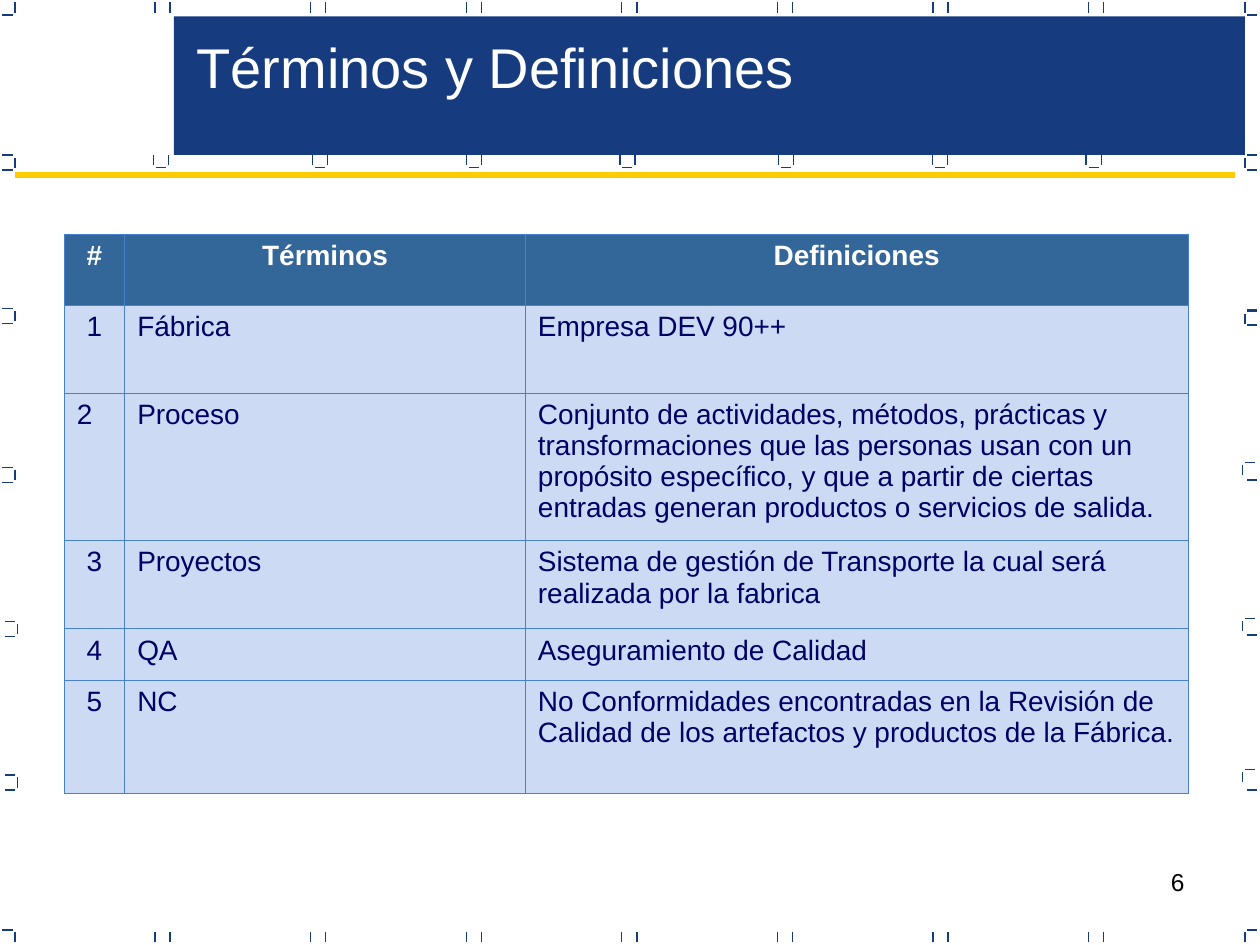
import pptx
import pptx.util
import pptx.dml.color
import pptx.enum.shapes
import pptx.enum.text
from lxml import etree
from pptx.oxml.ns import qn

# Content
TITLE = "Términos y Definiciones"
PAGE = "6"
HEAD = ("#", "Términos", "Definiciones")
TERMS = [
    ("Fábrica", "Empresa DEV 90++"),
    ("Proceso", "Conjunto de actividades, métodos, prácticas y transformaciones "
     "que las personas usan con un propósito específico, y que a partir de "
     "ciertas entradas generan productos o servicios de salida."),
    ("Proyectos", "Sistema de gestión de Transporte la cual será realizada "
     "por la fabrica"),
    ("QA", "Aseguramiento de Calidad"),
    ("NC", "No Conformidades encontradas en la Revisión de Calidad de los "
     "artefactos y productos de la Fábrica."),
]
LEFT_NUM = "2"  # the one number set flush left

# Theme and grid
THEME = dict(font="Arial", navy="163B7F", gold="FFCC00", head="336699",
             cell="CDDAF3", ink="000066", edge="4782C9", white="FFFFFF",
             black="000000", title=32, body=16, page=14)
WIDE, HIGH = 10, 7.5
COLS = (0.48, 3.18, 5.26)
ROWS = (0.56, 0.7, 1.17, 0.7, 0.41, 0.9)
TICK, GAP = 0.08, 0.02          # mark length, and its offset from a corner
SPAN = TICK + 2 * GAP           # width of one bracket
LOW, FAR = HIGH - SPAN, WIDE - SPAN
CUPS = (1.22, 2.48, 3.7, 4.92, 6.18, 7.4, 8.62)
LEFT = ((0.12, 1.23), (0.12, 2.45), (0.12, 3.71), (0.14, 4.93), (0.14, 6.15))
RIGHT = ((9.88, 1.23), (9.88, 2.47), (9.86, 3.67), (9.86, 4.91), (9.86, 6.11))

inch = pptx.util.Inches
align = pptx.enum.text.PP_ALIGN


def tint(name):
    return pptx.dml.color.RGBColor.from_string(THEME[name])


def style(para, size, ink, bold=False, side=align.LEFT):
    para.alignment = side
    font = para.font
    font.name, font.size, font.bold = THEME["font"], pptx.util.Pt(THEME[size]), bold
    font.color.rgb = tint(ink)


def rule(x, y, to_x, to_y, ink="navy", width=0.75):
    line = slide.shapes.add_connector(
        pptx.enum.shapes.MSO_CONNECTOR.STRAIGHT,
        inch(x), inch(y), inch(to_x), inch(to_y))
    line.line.color.rgb = tint(ink)
    line.line.width = pptx.util.Pt(width)
    etree.SubElement(line._element.spPr, qn("a:effectLst"))


def flat(x, y):
    rule(x, y, x + TICK, y)


def tall(x, y):
    rule(x, y + TICK, x, y)


def edge(cell):
    props = cell._tc.get_or_add_tcPr()
    for i, tag in enumerate(("a:lnL", "a:lnR", "a:lnT", "a:lnB")):
        line = etree.Element(qn(tag), w=str(pptx.util.Pt(0.45)))
        fill = etree.SubElement(line, qn("a:solidFill"))
        etree.SubElement(fill, qn("a:srgbClr"), val=THEME["edge"])
        props.insert(i, line)


deck = pptx.Presentation()
deck.slide_width, deck.slide_height = inch(WIDE), inch(HIGH)
slide = deck.slides.add_slide(deck.slide_layouts[5])

# Marks along the top and bottom edges
for i in range(7):
    x = 1.23 + 1.235 * i
    for y in (GAP, LOW + GAP):
        tall(x, y)
        tall(x + SPAN, y)

# Corner marks
for x, out in ((SPAN, GAP), (FAR, FAR + GAP)):
    tall(x, GAP)
    flat(out, SPAN)
    tall(x, LOW + GAP)
    flat(out, LOW)

# Brackets down both sides
for x, y in LEFT:
    tall(x, y + GAP)
    flat(x - TICK - GAP, y)
    flat(x - TICK - GAP, y + SPAN)
for x, y in RIGHT:
    tall(x, y + GAP)
    flat(x + GAP, y)
for i in range(5):
    flat(FAR + GAP, 1.35 + 1.23 * i)
flat(FAR + GAP, 2.46)

# Banner, with cups hanging below it
band = slide.shapes.add_shape(pptx.enum.shapes.MSO_SHAPE.RECTANGLE,
                              inch(1.38), inch(0.13), inch(8.5), inch(1.1))
band.shadow.inherit = False
band.fill.solid()
band.fill.fore_color.rgb = tint("navy")
band.line.fill.background()
for x in CUPS:
    tall(x, 1.23)
    tall(x + SPAN, 1.23)
    flat(x + GAP, 1.33)

# Title, raised above the banner
title = slide.shapes.title
title.left, title.top, title.width, title.height = map(inch, (1.46, 0.21, 4.95, 0.64))
frame = title.text_frame
frame.text = TITLE
frame.word_wrap = False
frame.auto_size = pptx.enum.text.MSO_AUTO_SIZE.SHAPE_TO_FIT_TEXT
frame.vertical_anchor = pptx.enum.text.MSO_ANCHOR.TOP
style(frame.paragraphs[0], "title", "white")
slide.shapes._spTree.append(title._element)
rule(0.12, 1.39, 9.8, 1.39, "gold", 3)

# Table of terms
grid = slide.shapes.add_table(len(ROWS), len(COLS), inch(0.51), inch(1.86),
                              inch(sum(COLS)), inch(sum(ROWS))).table
for col, size in zip(grid.columns, COLS):
    col.width = inch(size)
for row, size in zip(grid.rows, ROWS):
    row.height = inch(size)
lines = [HEAD] + [(str(n), *term) for n, term in enumerate(TERMS, 1)]
for r, line in enumerate(lines):
    for c, text in enumerate(line):
        cell = grid.cell(r, c)
        cell.text = text
        cell.fill.solid()
        cell.fill.fore_color.rgb = tint("cell" if r else "head")
        edge(cell)
        mid = r == 0 or (c == 0 and text != LEFT_NUM)
        style(cell.text_frame.paragraphs[0], "body", "ink" if r else "white",
              r == 0, align.CENTER if mid else align.LEFT)

# Page number
page = slide.shapes.add_textbox(inch(7.17), inch(6.83), inch(2.33), inch(0.52))
page.text_frame.word_wrap = True
page.text_frame.text = PAGE
style(page.text_frame.paragraphs[0], "page", "black", side=align.RIGHT)

deck.save("out.pptx")
